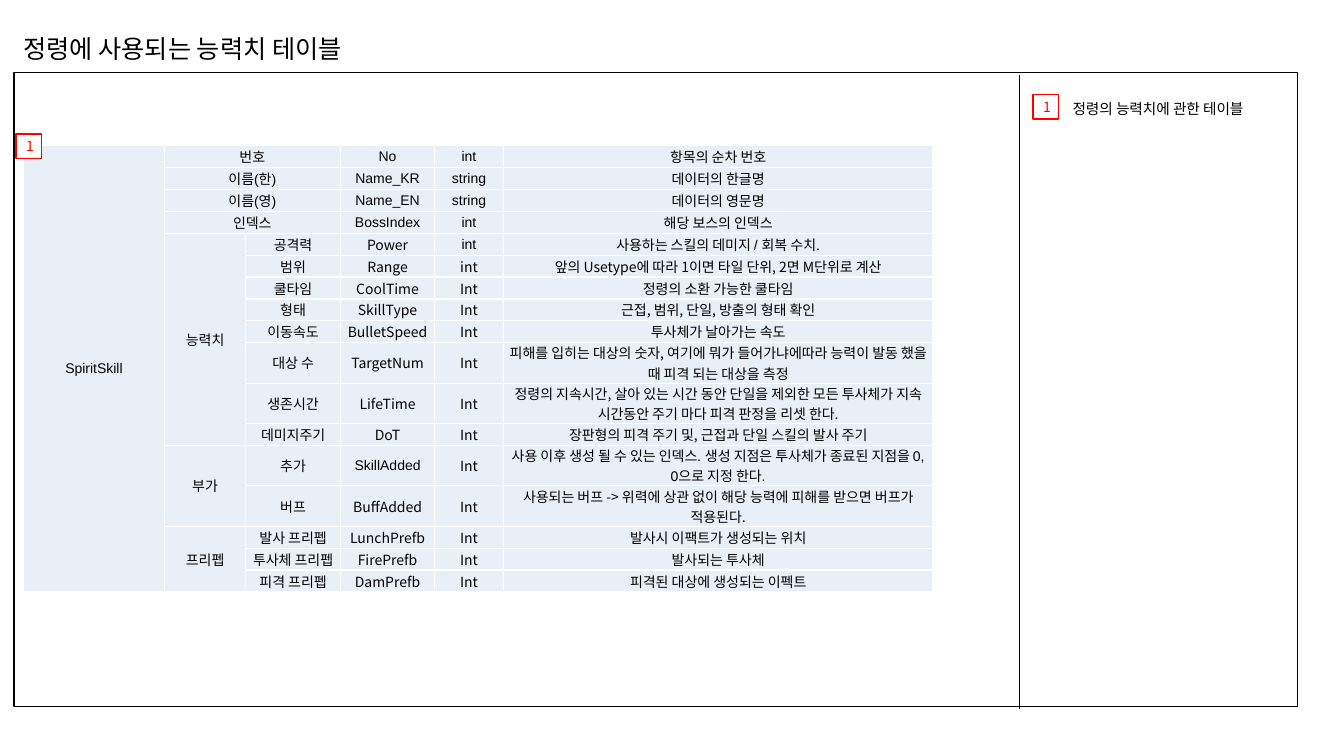
"""Build the slide describing the ability table used by spirits."""
from dataclasses import dataclass
from typing import Any

from lxml.etree import SubElement
from pptx import Presentation
from pptx.dml.color import RGBColor
from pptx.enum.shapes import MSO_CONNECTOR as Connector, MSO_SHAPE as Preset
from pptx.enum.text import MSO_ANCHOR as Anchor, MSO_AUTO_SIZE as Fit, PP_ALIGN as Align
from pptx.oxml.ns import qn
from pptx.util import Pt

KOREAN, LATIN = "Noto Sans CJK KR", "Arial"
BLACK, WHITE, RED, CELL_FILL = "000000", "FFFFFF", "FF0000", "E9EFF7"
COLUMN_WIDTHS = (100.6, 58.2, 67.5, 67.5, 48.9, 307)
ROW_HEIGHTS = {1: 15.64, 2: 28.9}
BOX_FORMAT = dict(margin_left=Pt(7.2), margin_right=Pt(7.2), margin_top=Pt(3.6),
                  margin_bottom=Pt(3.6), word_wrap=True, vertical_anchor=Anchor.TOP,
                  auto_size=Fit.SHAPE_TO_FIT_TEXT)
CELL_FORMAT = dict(margin_left=0, margin_right=0, margin_top=0, margin_bottom=0,
                   vertical_anchor=Anchor.MIDDLE)
DESCRIPTION_FORMAT = dict(margin_left=Pt(3.5), margin_right=Pt(3.5))


@dataclass
class Field:
    label: str
    name: str
    kind: str
    description: str
    latin_columns: str = ""
    lines: int = 1


@dataclass
class Group:
    title: str
    fields: list[Field]
    font: str = KOREAN


@dataclass
class Box:
    left: float
    top: float
    width: float
    height: float

    def lengths(self) -> tuple[Pt, Pt, Pt, Pt]:
        """Return the box as lengths in points."""
        return Pt(self.left), Pt(self.top), Pt(self.width), Pt(self.height)


GROUPS = [
    Group("", [
        Field("번호", "No", "int", "항목의 순차 번호", "2345"),
        Field("이름(한)", "Name_KR", "string", "데이터의 한글명", "2345"),
        Field("이름(영)", "Name_EN", "string", "데이터의 영문명", "2345"),
        Field("인덱스", "BossIndex", "int", "해당 보스의 인덱스", "345"),
    ]),
    Group("능력치", [
        Field("공격력", "Power", "int", "사용하는 스킬의 데미지 / 회복 수치.", "245"),
        Field("범위", "Range", "int", "앞의 Usetype에 따라 1이면 타일 단위, 2면 M단위로 계산"),
        Field("쿨타임", "CoolTime", "Int", "정령의 소환 가능한 쿨타임"),
        Field("형태", "SkillType", "Int", "근접, 범위, 단일, 방출의 형태 확인"),
        Field("이동속도", "BulletSpeed", "Int", "투사체가 날아가는 속도"),
        Field("대상 수", "TargetNum", "Int",
              "피해를 입히는 대상의 숫자, 여기에 뭐가 들어가냐에따라 능력이 발동 "
              "했을 때 피격 되는 대상을 측정", lines=2),
        Field("생존시간", "LifeTime", "Int",
              "정령의 지속시간, 살아 있는 시간 동안 단일을 제외한 모든 투사체가 지속 "
              "시간동안 주기 마다 피격 판정을 리셋 한다.", lines=2),
        Field("데미지주기", "DoT", "Int", "장판형의 피격 주기 및, 근접과 단일 스킬의 발사 주기"),
    ], LATIN),
    Group("부가", [
        Field("추가", "SkillAdded", "Int",
              "사용 이후 생성 될 수 있는 인덱스. 생성 지점은 투사체가 종료된 지점을 "
              "0, 0으로 지정 한다.", "35", lines=2),
        Field("버프", "BuffAdded", "Int",
              "사용되는 버프 -> 위력에 상관 없이 해당 능력에 피해를 받으면 버프가 적용된다.",
              lines=2),
    ], LATIN),
    Group("프리펩", [
        Field("발사 프리펩", "LunchPrefb", "Int", "발사시 이팩트가 생성되는 위치"),
        Field("투사체 프리펩", "FirePrefb", "Int", "발사되는 투사체"),
        Field("피격 프리펩", "DamPrefb", "Int", "피격된 대상에 생성되는 이펙트"),
    ]),
]
MARKERS = [Box(738, 67.7, 18, 17.3), Box(11.5, 95.8, 18, 17.3)]


def rgb(hex_colour: str) -> RGBColor:
    """Turn a hex string into a colour."""
    return RGBColor.from_string(hex_colour)


def apply(target: Any, values: dict[str, Any]) -> None:
    """Set every format value on the target."""
    for name, value in values.items():
        setattr(target, name, value)


def write(frame: Any, text: str, size: float, font: str = KOREAN,
          colour: str = BLACK, align: Align = Align.CENTER) -> None:
    """Write one formatted paragraph into a text frame."""
    paragraph = frame.paragraphs[0]
    apply(paragraph, dict(alignment=align, space_before=Pt(0)))
    run = paragraph.add_run()
    run.text = text
    apply(run.font, dict(size=Pt(size), name=font))
    run.font.color.rgb = rgb(colour)
    SubElement(run.font._element, qn("a:ea"), typeface=KOREAN)


def fill_placeholder(holder: Any, box: Box, text: str, size: float) -> None:
    """Place a placeholder and write its plain left-aligned line."""
    apply(holder, dict(zip(("left", "top", "width", "height"), box.lengths())))
    apply(holder.text_frame, BOX_FORMAT)
    write(holder.text_frame, text, size, align=Align.LEFT)
    properties = holder.text_frame.paragraphs[0]._p.get_or_add_pPr()
    properties.set("marL", "0")
    properties.set("indent", "0")
    SubElement(properties, qn("a:buNone"))


def add_box(shapes: Any, box: Box, colour: str, fill: str = "") -> Any:
    """Add an outlined rectangle, filled only when a fill is given."""
    rectangle = shapes.add_shape(Preset.RECTANGLE, *box.lengths())
    rectangle.shadow.inherit = False
    rectangle.line.color.rgb = rgb(colour)
    rectangle.line.width = Pt(1)
    if fill:
        rectangle.fill.solid()
        rectangle.fill.fore_color.rgb = rgb(fill)
    else:
        rectangle.fill.background()
    return rectangle


def style_cell(cell: Any) -> None:
    """Give a cell white borders, the pale fill and no margins."""
    properties = cell._tc.get_or_add_tcPr()
    for side in ("lnL", "lnR", "lnT", "lnB"):
        border = SubElement(properties, qn(f"a:{side}"), w=str(Pt(1)))
        SubElement(SubElement(border, qn("a:solidFill")), qn("a:srgbClr"), val=WHITE)
    cell.fill.solid()
    cell.fill.fore_color.rgb = rgb(CELL_FILL)
    apply(cell, CELL_FORMAT)


def add_ability_table(shapes: Any) -> None:
    """Add the ability table with its merged group cells."""
    heights = [ROW_HEIGHTS[field.lines] for group in GROUPS for field in group.fields]
    count = len(heights)
    place = Box(16.8, 104.2, sum(COLUMN_WIDTHS), sum(heights))
    table = shapes.add_table(count, len(COLUMN_WIDTHS), *place.lengths()).table
    apply(table, dict(first_row=False, horz_banding=False))
    for column, width in zip(table.columns, COLUMN_WIDTHS):
        column.width = Pt(width)
    for row, height in zip(table.rows, heights):
        row.height = Pt(height)
    for cell in table.iter_cells():
        style_cell(cell)

    table.cell(0, 0).merge(table.cell(count - 1, 0))
    write(table.cell(0, 0).text_frame, "SpiritSkill", 10, LATIN)
    row = 0
    for group in GROUPS:
        if group.title:
            heading = table.cell(row, 1)
            heading.merge(table.cell(row + len(group.fields) - 1, 1))
            write(heading.text_frame, group.title, 10, group.font)
        for field in group.fields:
            if not group.title:
                table.cell(row, 1).merge(table.cell(row, 2))
            texts = (field.label, field.name, field.kind, field.description)
            for column, text in enumerate(texts, start=2):
                target = 1 if column == 2 and not group.title else column
                font = LATIN if str(column) in field.latin_columns else KOREAN
                write(table.cell(row, target).text_frame, text, 10, font)
            apply(table.cell(row, 5), DESCRIPTION_FORMAT)
            row += 1


def main() -> None:
    """Assemble and save the slide."""
    deck = Presentation()
    apply(deck, dict(slide_width=Pt(960), slide_height=Pt(540)))
    slide = deck.slides.add_slide(deck.slide_layouts[1])
    title, legend = slide.placeholders
    fill_placeholder(title, Box(9.4, 20.2, 354.2, 28.8), "정령에 사용되는 능력치 테이블", 18)
    fill_placeholder(legend, Box(758.9, 67.7, 163.4, 20.2), "정령의 능력치에 관한 테이블", 10.5)
    add_ability_table(slide.shapes)
    add_box(slide.shapes, Box(10.1, 51.8, 916.6, 452.9), BLACK)
    divider = slide.shapes.add_connector(Connector.STRAIGHT, Pt(727.9), Pt(53.3), Pt(727.9), Pt(506.2))
    divider.line.color.rgb = rgb(BLACK)
    divider.line.width = Pt(0.75)
    SubElement(divider._element.spPr, qn("a:effectLst"))
    for place in MARKERS:
        marker = add_box(slide.shapes, place, RED, WHITE)
        marker.text_frame.vertical_anchor = Anchor.MIDDLE
        write(marker.text_frame, "1", 10, colour=RED)
    deck.save("out.pptx")


main()
